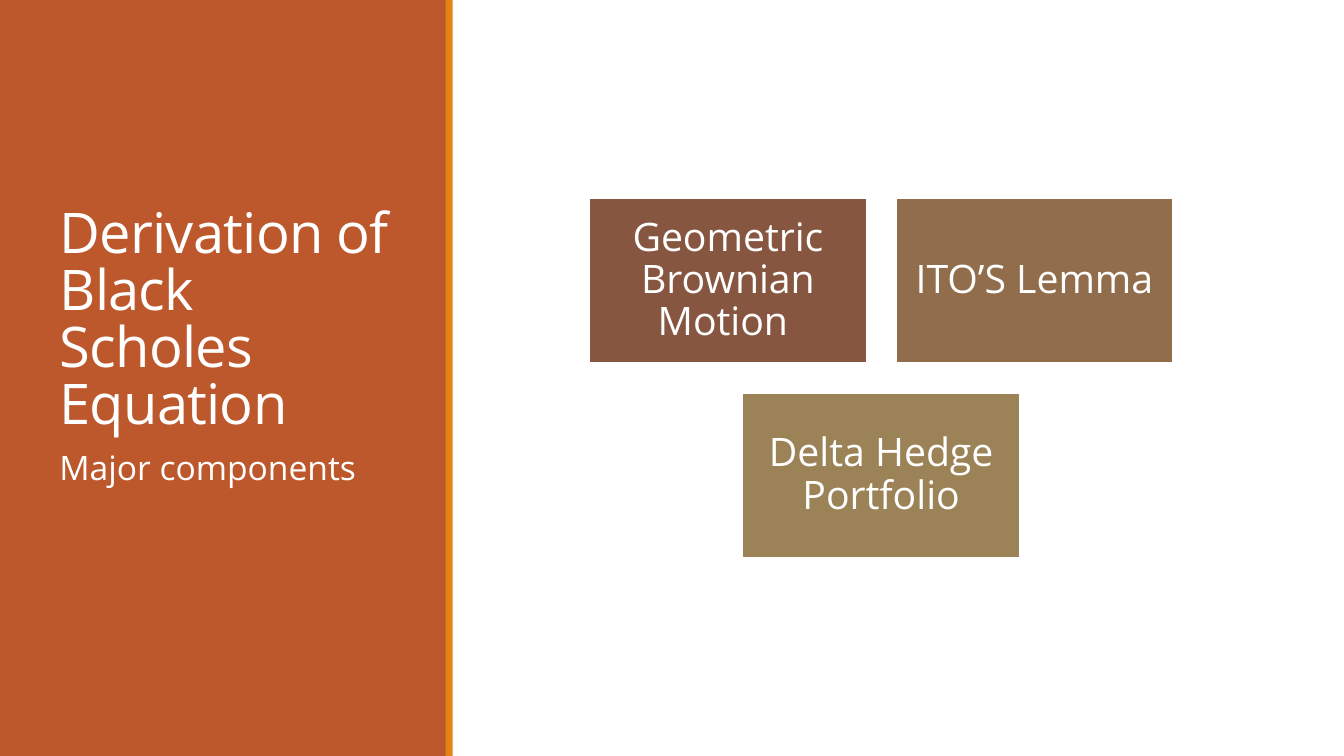
from pptx import Presentation
from pptx.dml.color import RGBColor
from pptx.enum.shapes import MSO_SHAPE
from pptx.enum.text import MSO_ANCHOR, PP_ALIGN
from pptx.util import Inches, Pt

TITLE = "Derivation of Black Scholes Equation "
SUBTITLE = "Major components "
COMPONENT_ROWS = [
    [("Geometric Brownian Motion ", "brown"), ("ITO\u2019S Lemma", "tan")],
    [("Delta Hedge Portfolio", "olive")],
]
COLORS = {"panel": "BD582C", "stripe": "E48312", "white": "FFFFFF",
          "brown": "865640", "tan": "916D4B", "olive": "9B8357"}
FONT = "Open Sans"
SLIDE_W, SLIDE_H = 13.33, 7.5
PANEL_W, STRIPE_X, STRIPE_W = 4.43, 4.42, 0.07
TEXT_X, TEXT_W = 0.49, 3.5
CARD_W, CARD_H, GAP = 2.76, 1.65, 0.28
CARDS_CENTER, CARDS_TOP = 8.74, 1.96


def color(name):
    """Return the palette colour of that name."""
    return RGBColor.from_string(COLORS[name])


def add_block(slide, box, fill, outlined=False):
    """Add a flat rectangle at box, in inches."""
    block = slide.shapes.add_shape(MSO_SHAPE.RECTANGLE, *map(Inches, box))
    block.shadow.inherit = False
    block.fill.solid()
    block.fill.fore_color.rgb = color(fill)
    if outlined:
        block.line.color.rgb = color("white")
        block.line.width = Pt(2)
    else:
        block.line.fill.background()
    return block


def write(frame, text, size, spacing, anchor, align=PP_ALIGN.LEFT):
    """Write one white paragraph into a text frame and return its run."""
    frame.word_wrap = True
    frame.vertical_anchor = anchor
    paragraph = frame.paragraphs[0]
    paragraph.alignment = align
    paragraph.line_spacing = spacing
    run = paragraph.add_run()
    run.text = text
    run.font.name = FONT
    run.font.size = Pt(size)
    run.font.color.rgb = color("white")
    return run


def add_heading(slide):
    """Fill the side panel with the title and subtitle."""
    title = slide.shapes.title
    title.left, title.top = Inches(TEXT_X), Inches(1.88)
    title.width, title.height = Inches(TEXT_W), Inches(2.5)
    run = write(title.text_frame, TITLE, 40, 0.85, MSO_ANCHOR.BOTTOM)
    run.font._element.set("spc", "-50")
    subtitle = slide.shapes.add_textbox(
        *map(Inches, (TEXT_X, 4.43, TEXT_W, 0.55)))
    write(subtitle.text_frame, SUBTITLE, 24, 0.9, MSO_ANCHOR.TOP)
    paragraph = subtitle.text_frame.paragraphs[0]
    paragraph.space_before, paragraph.space_after = Pt(12), Pt(2)


def add_components(slide):
    """Lay out the component cards in centred rows."""
    for row, cards in enumerate(COMPONENT_ROWS):
        row_w = len(cards) * (CARD_W + GAP) - GAP
        top = CARDS_TOP + row * (CARD_H + GAP)
        for column, (label, fill) in enumerate(cards):
            left = CARDS_CENTER - row_w / 2 + column * (CARD_W + GAP)
            card = add_block(slide, (left, top, CARD_W, CARD_H), fill, True)
            frame = card.text_frame
            frame.margin_left = frame.margin_right = Inches(0.12)
            frame.margin_top = frame.margin_bottom = Inches(0.12)
            write(frame, label, 28, 0.9, MSO_ANCHOR.MIDDLE, PP_ALIGN.CENTER)


deck = Presentation()
deck.slide_width, deck.slide_height = Inches(SLIDE_W), Inches(SLIDE_H)
slide = deck.slides.add_slide(deck.slide_layouts[5])
slide.background.fill.solid()
slide.background.fill.fore_color.rgb = color("white")
add_block(slide, (0, 0, PANEL_W, SLIDE_H), "panel")
add_block(slide, (STRIPE_X, 0, STRIPE_W, SLIDE_H), "stripe")
# The title placeholder comes first in the layout; bring it above the panel.
slide.shapes._spTree.append(slide.shapes.title._element)
add_heading(slide)
add_components(slide)
deck.save("out.pptx")
